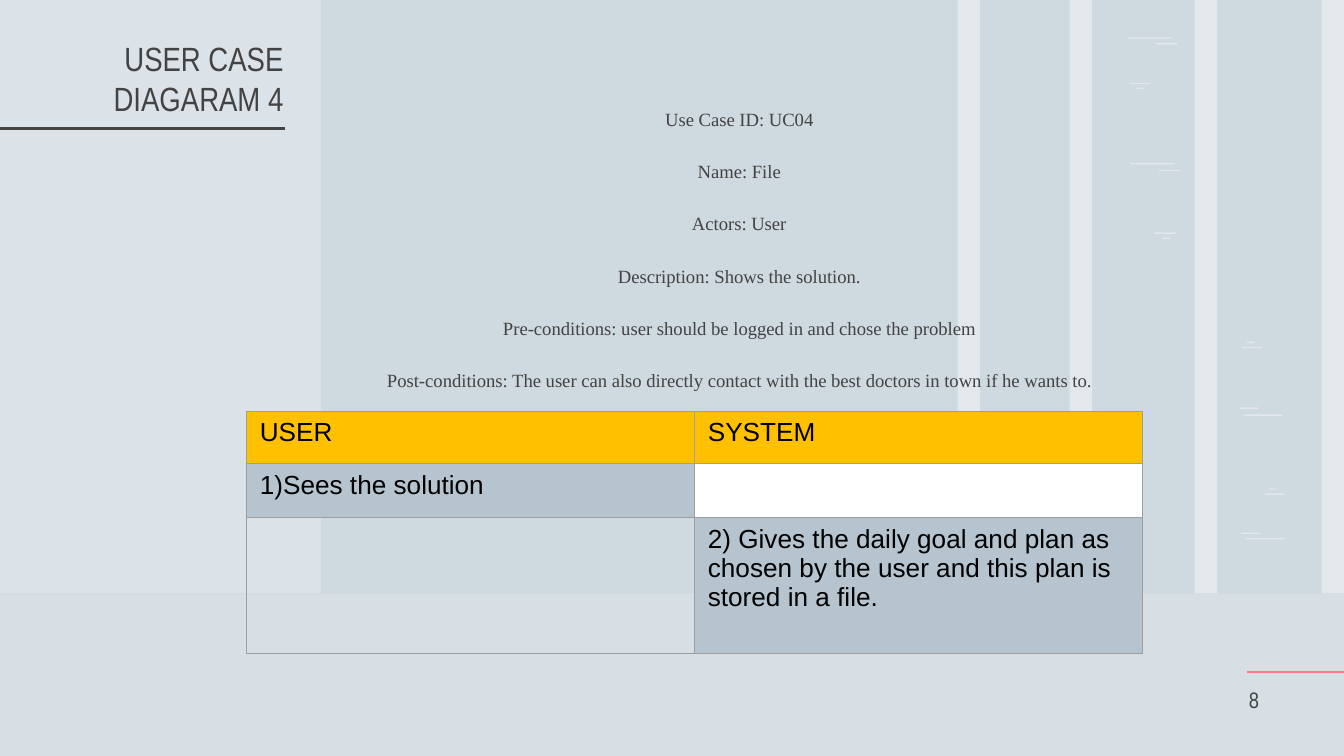
from dataclasses import dataclass

from lxml import etree
from pptx import Presentation
from pptx.dml.color import RGBColor
from pptx.enum import shapes, text
from pptx.oxml import ns
from pptx.util import Pt


@dataclass(frozen=True)
class Theme:
    """Colours, fonts and type sizes of the slide."""
    back: str = "CFD9E0"
    pale: str = "FFFFFF"
    ink: str = "434343"
    black: str = "000000"
    accent: str = "FF787F"
    head: str = "FFC000"
    cell: str = "B5C4CF"
    edge: str = "9E9E9E"
    sans: str = "Arial"
    slim: str = "Arial Narrow"
    serif: str = "Times New Roman"
    title: int = 18
    body: int = 10
    page: int = 12
    grid: int = 14


T = Theme()
STRIPS = (513, 573, 640, 708)
DASHES = (
    (604, 20, 24), (619, 23, 11.5), (605, 44.4, 11.5), (609, 47, 4.3),
    (605.5, 87.3, 24), (621, 91, 11.5), (618.5, 124.5, 11.5), (623, 127.3, 4.3),
    (668, 183, 4), (665.5, 185.8, 10.5), (664, 218.3, 10), (666.5, 222, 20.5),
    (680, 261.6, 4), (677.5, 264.4, 10.5), (665, 285.3, 10), (667.5, 288.2, 20.5),
)
FACTS = (
    "Use Case ID: UC04",
    "Name: File",
    "Actors: User",
    "Description: Shows the solution.",
    "Pre-conditions: user should be logged in and chose the problem",
    "Post-conditions: The user can also directly contact with the best "
    "doctors in town if he wants to.",
)
STEPS = (
    (("USER", T.head), ("SYSTEM", T.head)),
    (("1)Sees the solution", T.cell), ("", T.pale)),
    (("", None), ("2) Gives the daily goal and plan as chosen by the user "
                  "and this plan is stored in a file.", T.cell)),
)


def rgb(tone):
    """Turn a hex string into a colour."""
    return RGBColor.from_string(tone)


def style(para, face, size, tone):
    """Format every run of a paragraph."""
    for run in para.runs:
        run.font.name, run.font.size = face, Pt(size)
        run.font.color.rgb = rgb(tone)


def pane(slide, box, alpha):
    """Draw a translucent pale rectangle."""
    shape = slide.shapes.add_shape(shapes.MSO_SHAPE.RECTANGLE, *map(Pt, box))
    shape.shadow.inherit = False
    shape.line.fill.background()
    shape.fill.solid()
    shape.fill.fore_color.rgb = rgb(T.pale)
    tint = shape.fill._xPr.find(".//" + ns.qn("a:srgbClr"))
    etree.SubElement(tint, ns.qn("a:alpha"), val=str(alpha * 1000))


def rule(slide, left, top, width, tone):
    """Draw a level line."""
    line = slide.shapes.add_connector(
        shapes.MSO_CONNECTOR.STRAIGHT, *map(Pt, (left, top, left + width, top)))
    line.line.width = Pt(1.5)
    line.line.color.rgb = rgb(tone)
    etree.SubElement(line._element.spPr, ns.qn("a:effectLst"))


def label(slide, box, lines, face, size, align, anchor):
    """Place a text box with one paragraph per line."""
    frame = slide.shapes.add_textbox(*map(Pt, box)).text_frame
    frame.word_wrap = True
    frame.vertical_anchor = anchor
    frame.margin_left = frame.margin_right = Pt(7.2)
    frame.margin_top = frame.margin_bottom = Pt(7.2)
    frame.text = "\n".join(lines)
    for para in frame.paragraphs:
        para.alignment = align
        style(para, face, size, T.ink)
    return frame


def scene(slide, box):
    """Draw the backdrop of strips, dashes, side panel and floor."""
    left, top, width, height = box
    wall = 318
    for x in STRIPS:
        pane(slide, (left + x, top, 12, wall), 40)
    for x, y, size in DASHES:
        pane(slide, (left + x, top + y, size, 0.8), 40)
    pane(slide, (left, top, 172, wall), 27)
    pane(slide, (left, top + wall, width, height - wall), 17)


def heading(slide, box):
    """Place the title and the line beneath it."""
    left, top, width, height = box
    rule(slide, left, top + height - 1.5, 154, T.ink)
    label(slide, box, ["USER CASE DIAGARAM 4"], T.slim, T.title,
          text.PP_ALIGN.RIGHT, text.MSO_ANCHOR.BOTTOM)


def facts(slide, box):
    """List the use case facts, centred."""
    frame = label(slide, box, FACTS, T.serif, T.body,
                  text.PP_ALIGN.CENTER, text.MSO_ANCHOR.TOP)
    for para in frame.paragraphs:
        para.line_spacing = Pt(28)
        props = para._p.get_or_add_pPr()
        props.set("marL", str(Pt(36)))
        props.set("indent", str(Pt(-24)))


def edges(cell):
    """Give a cell a thin border on all sides."""
    props = cell._tc.get_or_add_tcPr()
    for spot, side in enumerate(("lnL", "lnR", "lnT", "lnB")):
        line = etree.Element(ns.qn("a:" + side), w=str(Pt(0.75)))
        fill = etree.SubElement(line, ns.qn("a:solidFill"))
        etree.SubElement(fill, ns.qn("a:srgbClr"), val=T.edge)
        props.insert(spot, line)


def steps(slide, box):
    """Build the table of user and system steps."""
    table = slide.shapes.add_table(3, 2, *map(Pt, box)).table
    table.first_row = table.horz_banding = False
    for col in table.columns:
        col.width = Pt(box[2] / 2)
    for row, high, items in zip(table.rows, (28.2, 28.2, box[3] - 56.4), STEPS):
        row.height = Pt(high)
        for cell, (words, tone) in zip(row.cells, items):
            cell.text_frame.text = words
            style(cell.text_frame.paragraphs[0], T.sans, T.grid, T.black)
            if tone:
                cell.fill.solid()
                cell.fill.fore_color.rgb = rgb(tone)
            else:
                cell.fill.background()
            edges(cell)


def footer(slide, box):
    """Place the page number under its accent line."""
    left, top, width, height = box
    rule(slide, left, top, width, T.accent)
    label(slide, (left - 6, top - 2, 25, height), ["8"], T.slim, T.page,
          text.PP_ALIGN.LEFT, text.MSO_ANCHOR.BOTTOM)


def main():
    """Build and save the slide."""
    deck = Presentation()
    deck.slide_width, deck.slide_height = Pt(720), Pt(405)
    slide = deck.slides.add_slide(deck.slide_layouts[6])
    slide.background.fill.solid()
    slide.background.fill.fore_color.rgb = rgb(T.back)
    scene(slide, (0, 0, 720, 405))
    heading(slide, (-1.5, 47.5, 160.5, 23))
    facts(slide, (180, 34.5, 420, 84))
    steps(slide, (132, 220.3, 480, 129))
    footer(slide, (668, 360, 52, 31))
    deck.save("out.pptx")


main()
